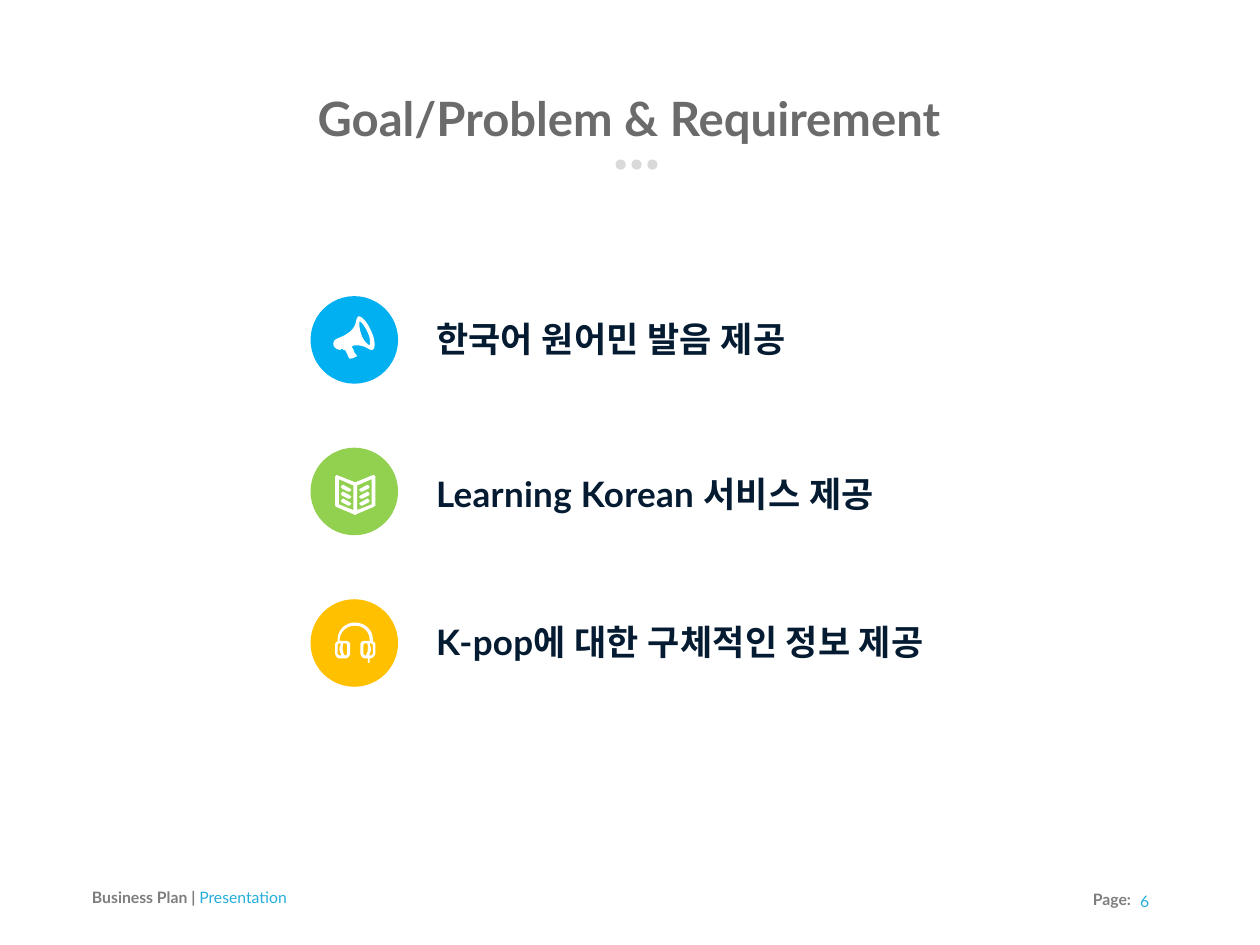
from pptx import Presentation
from pptx.dml.color import RGBColor
from pptx.enum.shapes import MSO_SHAPE as Preset
from pptx.enum.text import MSO_ANCHOR as Anchor, PP_ALIGN as Align
from pptx.util import Cm, Pt

FONT = "Lato"
WHITE, GREY, FOOTER_GREY, DOT_GREY = "FFFFFF", "6B6B6B", "7E7E7E", "D9D9D9"
NAVY, ACCENT = "041B31", "25AEDB"
ICON_UNIT = 0.0254  # cm per unit of the icon outlines
FINE = 10           # subdivisions of an icon unit
CURVE_STEPS = 8
BADGE = 3.53        # diameter in cm
GOAL_PITCH = 6.11


def mirror(contour):
    """Reflect a contour across the vertical axis of the icons."""
    return [tuple(142 - v if i % 2 == 0 else v for i, v in enumerate(segment))
            for segment in contour]


def shift(contour, dy):
    return [(x, y + dy) for x, y in contour]


# Each contour is a start point, then lines (x, y) and Bézier curves (x1, y1, x2, y2, x, y),
# measured from the top left corner of the badge.
MEGAPHONE = [
    [(96, 55), (91, 42, 81, 31, 76, 32), (68, 37, 81, 53, 41, 68), (37, 70, 35, 75, 37, 79),
     (38, 82, 44, 86, 48, 85), (50, 83), (53, 87, 56, 85, 56, 87), (57, 90, 60, 95, 60, 96),
     (61, 98, 62, 100, 64, 99), (65, 99, 70, 98, 72, 96), (74, 96, 74, 95, 73, 94),
     (73, 92, 70, 91, 70, 90), (69, 88, 68, 83, 66, 82), (65, 80, 68, 78, 70, 78),
     (89, 77, 92, 87, 99, 85), (103, 83, 103, 68, 96, 55)],
    [(94, 78), (93, 78, 85, 73, 81, 62), (77, 51, 77, 40, 78, 40),
     (80, 40, 86, 47, 91, 58), (96, 68, 94, 77, 94, 78)],
]

COVER = [(100, 94), (72, 106), (71, 107), (70, 107), (69, 106), (41, 94), (39, 92), (39, 46),
         (42, 43), (43, 44), (71, 55), (98, 44), (100, 43), (103, 46), (103, 92)]
PAGE = [(68, 60), (45, 50), (45, 90), (68, 99)]
TEXT_BAR = [(51, 59), (52, 59), (63, 65), (65, 67), (62, 70), (60, 70), (50, 65), (48, 62)]
LEFT_PAGE = [PAGE] + [shift(TEXT_BAR, 11 * row) for row in range(3)]
BOOK = [COVER] + LEFT_PAGE + [mirror(part) for part in LEFT_PAGE]

HEADSET = [(99, 67), (99, 66, 99, 66, 99, 64), (99, 49, 87, 37, 70, 37), (55, 37, 43, 49, 43, 64),
           (43, 66, 43, 66, 43, 67), (40, 68, 39, 70, 39, 73), (39, 85), (39, 89, 42, 94, 46, 94),
           (55, 94), (60, 94, 63, 89, 63, 85), (63, 73), (63, 68, 60, 66, 55, 66), (46, 66),
           (46, 52, 57, 42, 70, 42), (84, 42, 94, 51, 94, 66), (87, 66), (82, 66, 79, 68, 79, 73),
           (79, 85), (79, 89, 82, 94, 87, 94), (91, 94), (91, 100), (91, 100, 91, 101, 93, 101),
           (94, 101, 94, 100, 94, 100), (94, 94), (99, 94, 103, 89, 103, 85), (103, 73),
           (103, 70, 102, 68, 99, 67)]
EAR_CUP = [
    [(52, 70), (55, 70), (57, 70, 58, 72, 58, 73), (58, 85), (58, 88, 57, 89, 55, 89), (54, 89),
     (52, 86, 51, 82, 51, 79), (51, 76, 51, 73, 52, 70)],
    [(48, 70), (48, 73, 46, 76, 46, 79), (46, 82, 48, 86, 49, 89), (46, 89),
     (45, 89, 43, 88, 43, 85), (43, 73), (43, 72, 45, 70, 46, 70)],
]
HEADPHONES = [HEADSET] + EAR_CUP + [mirror(part) for part in EAR_CUP]

# Icon, badge colour, wording, drop of the wording below the badge top
GOALS = [
    (MEGAPHONE, "00B0F0", "한국어 원어민 발음 제공", 1.35),
    (BOOK, "92D050", "Learning Korean 서비스 제공", 1.5),
    (HEADPHONES, "FFC000", "K-pop에 대한 구체적인 정보 제공", 1.35),
]


def rgb(value):
    return RGBColor.from_string(value)


def paint(shape, color):
    shape.shadow.inherit = False
    shape.fill.solid()
    shape.fill.fore_color.rgb = rgb(color)
    shape.line.fill.background()


def add_text(slide, box, text, *, size, color, bold=False, align=Align.LEFT,
             anchor=Anchor.TOP, line=None, after=None, tracking=None):
    """Place one line of text without margins and return its paragraph."""
    frame = slide.shapes.add_textbox(*map(Cm, box)).text_frame
    frame.word_wrap = True
    frame.vertical_anchor = anchor
    frame.margin_left = frame.margin_right = frame.margin_top = frame.margin_bottom = 0
    paragraph = frame.paragraphs[0]
    paragraph.alignment = align
    if line:
        paragraph.line_spacing = Pt(line)
    if after:
        paragraph.space_after = Pt(after)
    run = add_run(paragraph, text, size, color, bold)
    if tracking:
        run.font._element.set("spc", str(round(tracking * 100)))
    return paragraph


def add_run(paragraph, text, size, color, bold):
    run = paragraph.add_run()
    run.text = text
    run.font.name, run.font.size, run.font.bold = FONT, Pt(size), bold
    run.font.color.rgb = rgb(color)
    return run


def add_circle(slide, left, top, diameter, color):
    circle = slide.shapes.add_shape(Preset.OVAL, Cm(left), Cm(top), Cm(diameter), Cm(diameter))
    paint(circle, color)


def flatten(contour):
    """Turn lines and curves into points on the fine grid."""
    points = [contour[0]]
    for segment in contour[1:]:
        if len(segment) == 2:
            points.append(segment)
            continue
        x0, y0 = points[-1]
        x1, y1, x2, y2, x3, y3 = segment
        for step in range(1, CURVE_STEPS + 1):
            t = step / CURVE_STEPS
            a, b, c, d = (1 - t) ** 3, 3 * t * (1 - t) ** 2, 3 * t * t * (1 - t), t ** 3
            points.append((a * x0 + b * x1 + c * x2 + d * x3,
                           a * y0 + b * y1 + c * y2 + d * y3))
    return [(x * FINE, y * FINE) for x, y in points]


def add_icon(slide, left, top, contours):
    outlines = [flatten(contour) for contour in contours]
    builder = slide.shapes.build_freeform(*outlines[0][0], scale=Cm(ICON_UNIT) / FINE)
    for index, points in enumerate(outlines):
        if index:
            builder.move_to(*points[0])
        builder.add_line_segments(points[1:], close=True)
    paint(builder.convert_to_shape(Cm(left), Cm(top)), WHITE)


def add_heading(slide, left, top, width):
    add_text(slide, (left, top, width, 2.31), "Goal/Problem & Requirement", size=54, color=GREY,
             bold=True, align=Align.CENTER, anchor=Anchor.MIDDLE)
    for index in range(3):
        add_circle(slide, left + 14 + 0.64 * index, top + 2.85, 0.41, DOT_GREY)


def add_goal(slide, left, top, icon, color, wording, drop):
    add_circle(slide, left, top, BADGE, color)
    add_icon(slide, left, top, icon)
    add_text(slide, (left + 5.06, top + drop, 22, 1.22), wording, size=40, color=NAVY,
             bold=True, line=34, after=12, tracking=0.4)


def add_footer(slide, left, top, width):
    label = dict(size=18, color=FOOTER_GREY, bold=True)
    title = add_text(slide, (left, top - 0.1, 12, 0.76), "Business Plan | ", **label)
    add_run(title, "Presentation", 18, ACCENT, False)
    right = left + width
    add_text(slide, (right - 4.3, top, 3, 0.76), "Page:", align=Align.RIGHT,
             anchor=Anchor.MIDDLE, **label)
    add_text(slide, (right - 1.5, top + 0.06, 1.5, 0.76), "6", size=18, color=ACCENT,
             align=Align.CENTER)


def main():
    deck = Presentation()
    deck.slide_width, deck.slide_height = Cm(50.8), Cm(38.1)
    slide = deck.slides.add_slide(deck.slide_layouts[6])
    add_footer(slide, 3.71, 35.88, 43.19)
    add_heading(slide, 10.82, 3.58, 29.08)
    for row, goal in enumerate(GOALS):
        add_goal(slide, 12.52, 11.94 + GOAL_PITCH * row, *goal)
    deck.save("out.pptx")


if __name__ == "__main__":
    main()
